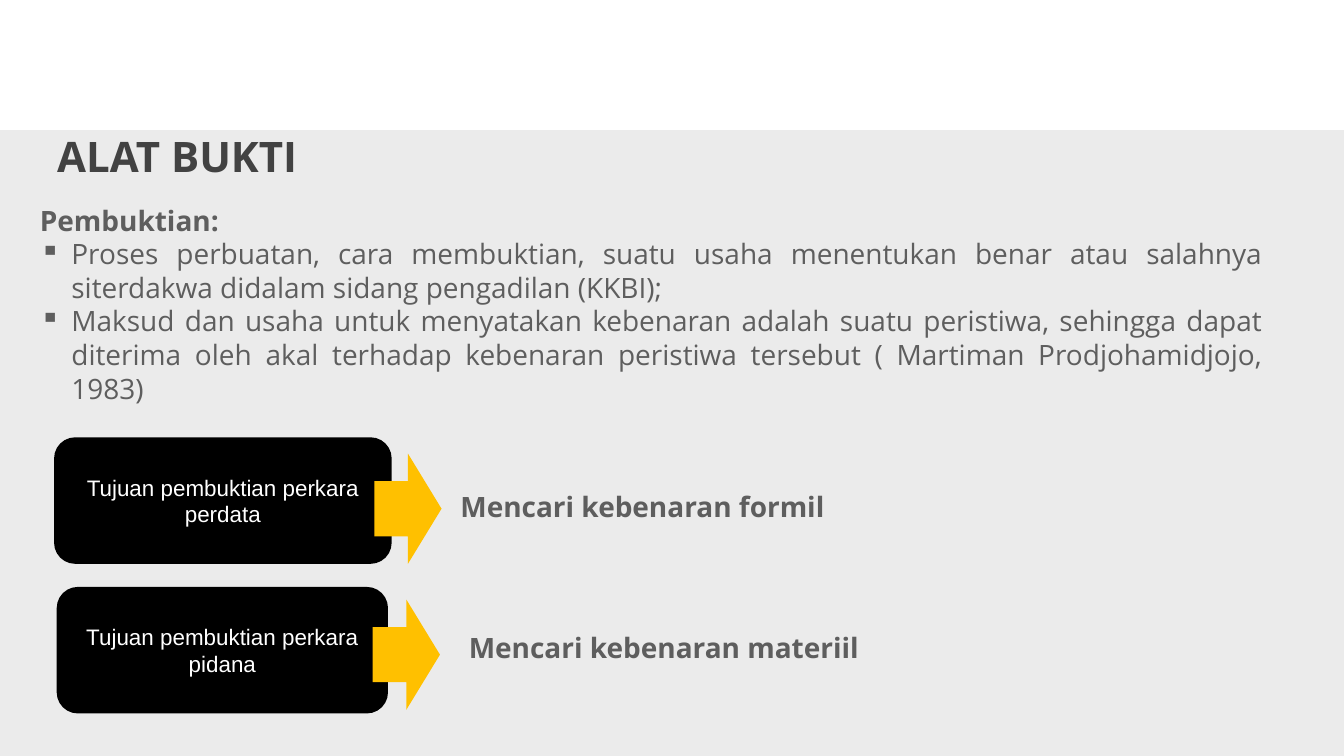
from dataclasses import dataclass

import lxml.etree
import pptx
import pptx.dml.color
import pptx.enum.shapes
import pptx.enum.text
import pptx.oxml.ns
import pptx.util

EMU_PER_PX = 9525
SLIDE_WIDTH, SLIDE_HEIGHT = 2560, 1440
BULLET_INDENT = 60

PANEL_GREY = "EBEBEB"
BLACK = "000000"
WHITE = "FFFFFF"
AMBER = "FFC000"

SHAPE = pptx.enum.shapes.MSO_SHAPE
ALIGN = pptx.enum.text.PP_ALIGN
ANCHOR = pptx.enum.text.MSO_ANCHOR


@dataclass(frozen=True)
class Area:
    left: int
    top: int
    width: int
    height: int

    def emu(self) -> tuple[int, ...]:
        return tuple(px(n) for n in (self.left, self.top, self.width, self.height))


@dataclass(frozen=True)
class TextStyle:
    size: int
    color: str
    font: str = "Open Sans"
    bold: bool = False


@dataclass(frozen=True)
class Goal:
    """A kind of case, with an arrow to the truth it seeks."""
    case: str
    truth: str
    case_area: Area
    arrow_area: Area
    truth_area: Area


HEADING = TextStyle(60, "424242", bold=True)
STRONG = TextStyle(40, "5E5E5E", bold=True)
BODY = TextStyle(40, "5E5E5E")
CASE = TextStyle(32, WHITE, "Arial")

DEFINITIONS = (
    "Proses perbuatan, cara membuktian, suatu usaha menentukan benar atau salahnya "
    "siterdakwa didalam sidang pengadilan (KKBI);",
    "Maksud dan usaha untuk menyatakan kebenaran adalah suatu peristiwa, sehingga dapat "
    "diterima oleh akal terhadap kebenaran peristiwa tersebut ( Martiman Prodjohamidjojo, 1983)",
)

GOALS = (
    Goal("Tujuan pembuktian perkara perdata", "Mencari kebenaran formil",
         Area(103, 833, 643, 241), Area(713, 864, 128, 210), Area(867, 927, 749, 74)),
    Goal("Tujuan pembuktian perkara pidana", "Mencari kebenaran materiil",
         Area(108, 1118, 631, 241), Area(710, 1142, 128, 210), Area(883, 1196, 1115, 74)),
)


def px(length: int) -> int:
    return length * EMU_PER_PX


def rgb(value: str) -> pptx.dml.color.RGBColor:
    return pptx.dml.color.RGBColor.from_string(value)


def set_frame(frame, anchor, inset_x: int = 6, inset_y: int = 6) -> None:
    settings = {
        "word_wrap": True,
        "vertical_anchor": anchor,
        "margin_left": px(inset_x),
        "margin_right": px(inset_x),
        "margin_top": px(inset_y),
        "margin_bottom": px(inset_y),
    }
    for name, value in settings.items():
        setattr(frame, name, value)


def write(paragraph, text: str, style: TextStyle, align=ALIGN.LEFT) -> None:
    paragraph.alignment = align
    run = paragraph.add_run()
    run.text = text
    settings = {"size": pptx.util.Pt(style.size), "name": style.font, "bold": style.bold}
    for name, value in settings.items():
        setattr(run.font, name, value)
    run.font.color.rgb = rgb(style.color)


def add_bullet(paragraph) -> None:
    properties = paragraph._p.get_or_add_pPr()
    properties.set("marL", str(px(BULLET_INDENT)))
    properties.set("indent", str(-px(BULLET_INDENT)))
    bullet = lxml.etree.SubElement(properties, pptx.oxml.ns.qn("a:buChar"))
    bullet.set("char", "▪")


def add_block(slide, kind, area: Area, fill: str):
    block = slide.shapes.add_shape(kind, *area.emu())
    block.shadow.inherit = False
    block.fill.solid()
    block.fill.fore_color.rgb = rgb(fill)
    block.line.fill.background()
    return block


def add_text(slide, area: Area, anchor=ANCHOR.TOP, inset_x: int = 6, inset_y: int = 6):
    frame = slide.shapes.add_textbox(*area.emu()).text_frame
    set_frame(frame, anchor, inset_x, inset_y)
    return frame


def add_definitions(slide) -> None:
    frame = add_text(slide, Area(70, 380, 2340, 398), ANCHOR.MIDDLE)
    write(frame.paragraphs[0], "Pembuktian:", STRONG, ALIGN.JUSTIFY)
    for definition in DEFINITIONS:
        paragraph = frame.add_paragraph()
        add_bullet(paragraph)
        write(paragraph, definition, BODY, ALIGN.JUSTIFY)


def add_goal(slide, goal: Goal) -> None:
    case_frame = add_block(slide, SHAPE.ROUNDED_RECTANGLE, goal.case_area, BLACK).text_frame
    set_frame(case_frame, ANCHOR.MIDDLE)
    write(case_frame.paragraphs[0], goal.case, CASE, ALIGN.CENTER)
    add_block(slide, SHAPE.RIGHT_ARROW, goal.arrow_area, AMBER)
    truth_frame = add_text(slide, goal.truth_area, inset_x=10, inset_y=5)
    write(truth_frame.paragraphs[0], goal.truth, STRONG)


def main() -> None:
    presentation = pptx.Presentation()
    presentation.slide_width = px(SLIDE_WIDTH)
    presentation.slide_height = px(SLIDE_HEIGHT)
    slide = presentation.slides.add_slide(presentation.slide_layouts[6])

    panel_top = 248
    panel = Area(0, panel_top, SLIDE_WIDTH, SLIDE_HEIGHT - panel_top)
    add_block(slide, SHAPE.RECTANGLE, panel, PANEL_GREY)

    heading = add_text(slide, Area(103, 254, 1151, 84)).paragraphs[0]
    heading.line_spacing = 0.9
    write(heading, "ALAT BUKTI", HEADING)

    add_definitions(slide)
    for goal in GOALS:
        add_goal(slide, goal)

    presentation.save("out.pptx")


if __name__ == "__main__":
    main()
